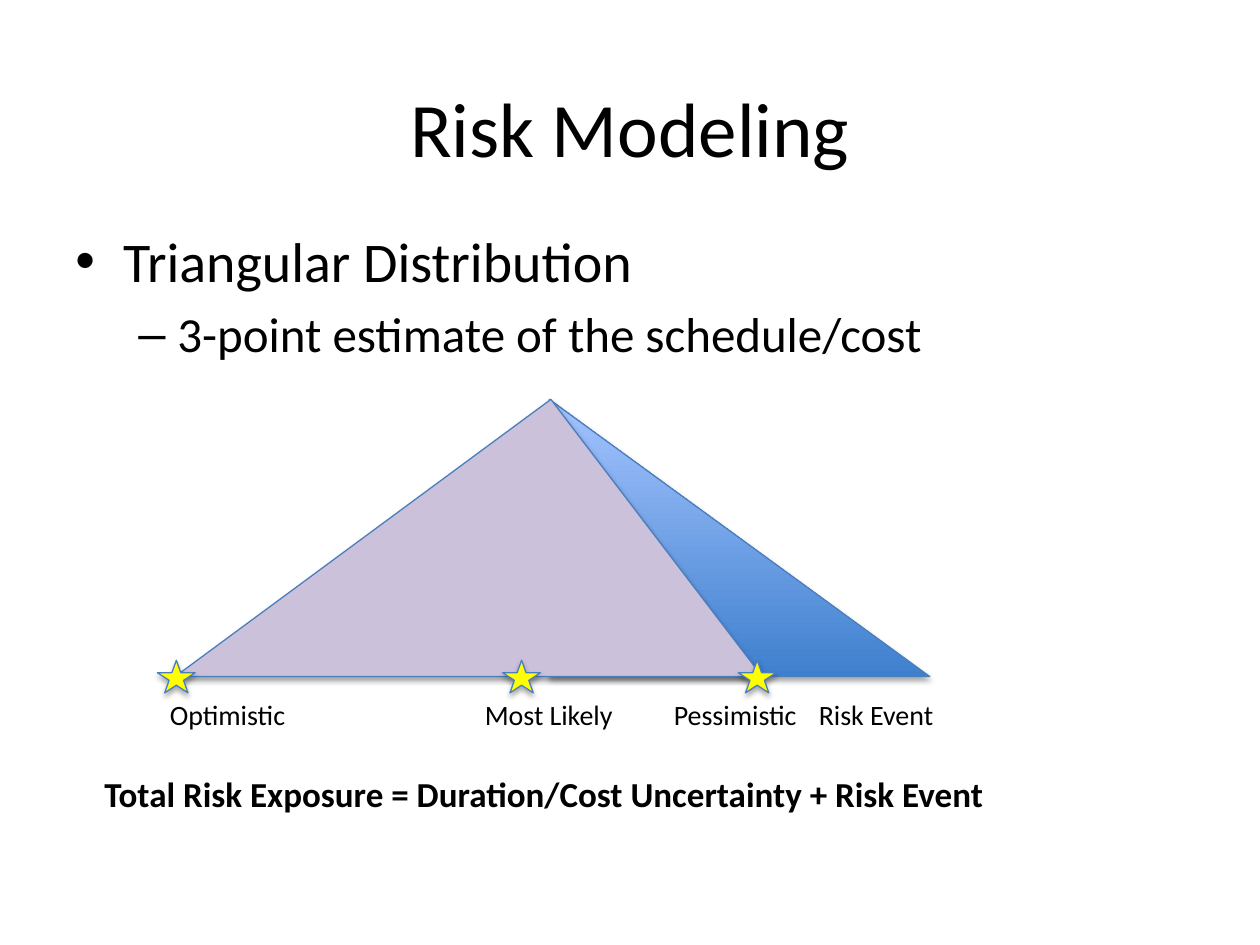
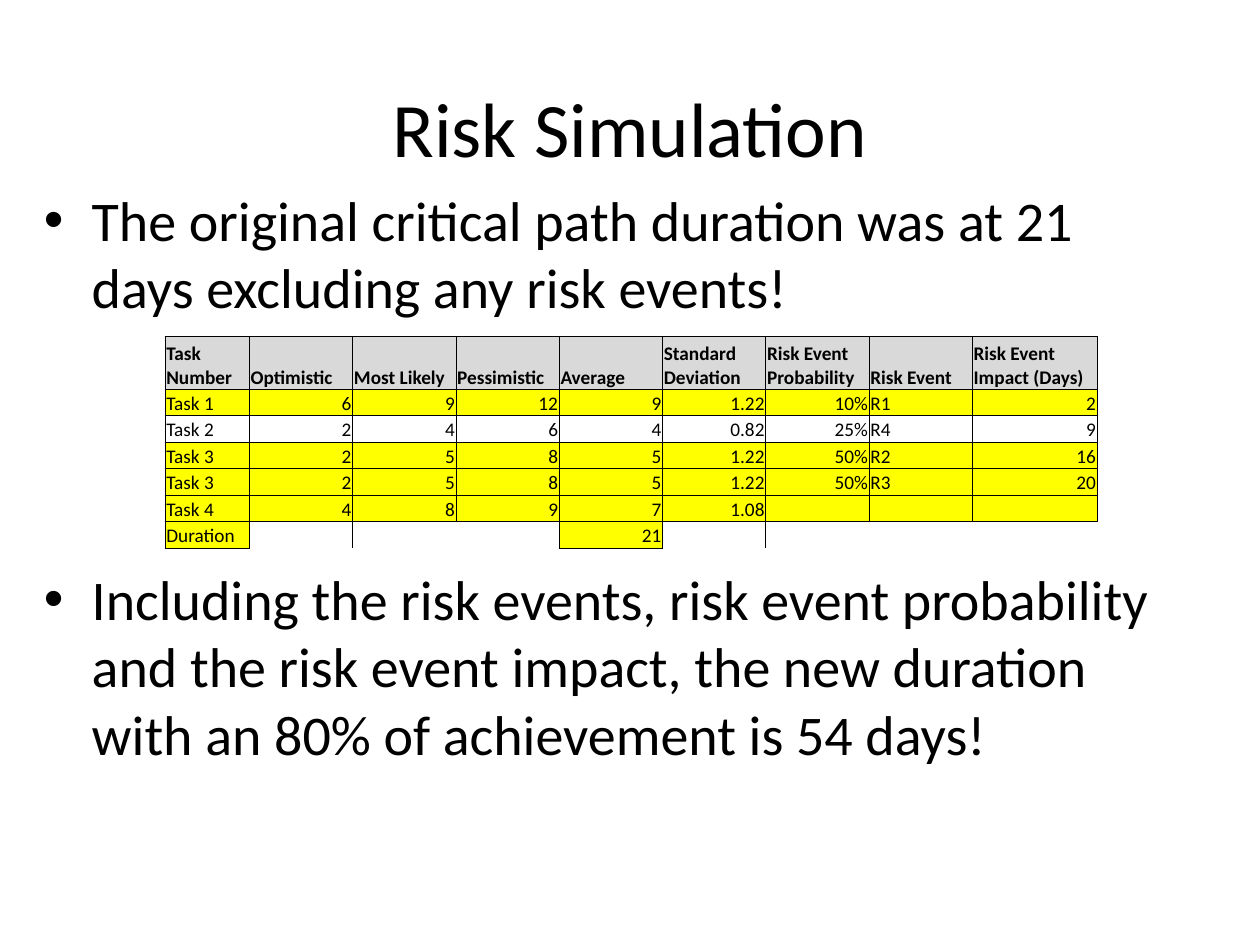
from lxml import etree
from pptx import Presentation
from pptx.dml.color import RGBColor
from pptx.enum.shapes import MSO_SHAPE
from pptx.enum.text import MSO_ANCHOR, PP_ALIGN
from pptx.oxml.ns import qn
from pptx.util import Emu, Inches, Pt

TRIANGLE, STAR = MSO_SHAPE.ISOSCELES_TRIANGLE, MSO_SHAPE.STAR_5_POINT
MIDDLE, BOTTOM = MSO_ANCHOR.MIDDLE, MSO_ANCHOR.BOTTOM
LEFT, CENTER, RIGHT = PP_ALIGN.LEFT, PP_ALIGN.CENTER, PP_ALIGN.RIGHT

FONT = "Calibri"
BLACK, GRAY, YELLOW = "000000", "D9D9D9", "FFFF00"
OUTLINE, LILAC = "4B7EBC", "CCC1DA"
BLUE_GRADIENT = ("3F80CE", "A4C4FF")
TITLE_ONLY = 5
NO_TABLE_STYLE = "{2D5ABB26-0587-4C30-8999-92F81FD0307C}"

# per level: bullet, size, left margin, hanging indent
BULLETS = [("•", 32, 0.38, 0.38), ("–", 28, 0.81, 0.31)]

TASK_HEADER = ["Task Number", "Optimistic", "Most Likely", "Pessimistic", "Average",
               "Standard Deviation", "Risk Event Probability", "Risk Event",
               "Risk Event Impact (Days)"]
TASK_ROWS = [
    ["Task 1", "6", "9", "12", "9", "1.22", "10%", "R1", "2"],
    ["Task 2", "2", "4", "6", "4", "0.82", "25%", "R4", "9"],
    ["Task 3", "2", "5", "8", "5", "1.22", "50%", "R2", "16"],
    ["Task 3", "2", "5", "8", "5", "1.22", "50%", "R3", "20"],
    ["Task 4", "4", "8", "9", "7", "1.08", "", "", ""],
    ["Duration", "", "", "", "21", "", "", "", ""],
]
OFF_CRITICAL_PATH = "Task 2"
TEXT_COLUMNS = (0, 7)


def rgb(color):
    return RGBColor.from_string(color)


def add_xml(parent, tag, **attrs):
    return etree.SubElement(parent, qn(tag), **{k: str(v) for k, v in attrs.items()})


class Deck:
    def __init__(self):
        self.prs = Presentation()
        self.prs.slide_width, self.prs.slide_height = Inches(10), Inches(7.5)
        self.s = None

    def slide(self, title):
        self.s = self.prs.slides.add_slide(self.prs.slide_layouts[TITLE_ONLY])
        sp = self.s.shapes.title
        sp.left, sp.top, sp.width, sp.height = map(Inches, (0.5, 0.38, 9, 1.25))
        sp.text_frame.vertical_anchor = MIDDLE
        p = sp.text_frame.paragraphs[0]
        p.alignment = CENTER
        self.run(p, title, 44)

    def run(self, p, text, size, bold=False):
        r = p.add_run()
        r.text = text
        r.font.name, r.font.size, r.font.bold = FONT, Pt(size), bold
        r.font.color.rgb = rgb(BLACK)

    def text_frame(self, x, y, w, h):
        tf = self.s.shapes.add_textbox(*map(Inches, (x, y, w, h))).text_frame
        tf.word_wrap = True
        return tf

    def label(self, text, x, y, w, h, size, bold=False, tabs=()):
        p = self.text_frame(x, y, w, h).paragraphs[0]
        if tabs:
            stops = add_xml(p._p.get_or_add_pPr(), "a:tabLst")
            for pos in tabs:
                add_xml(stops, "a:tab", pos=Inches(pos), algn="l")
        self.run(p, text, size, bold)

    def bullets(self, x, y, items):
        """Add a body text; items are (text, level, points of space before)."""
        tf = self.text_frame(x, y, 9, 4.95)
        for i, (text, level, before) in enumerate(items):
            char, size, margin, hanging = BULLETS[level]
            p = tf.add_paragraph() if i else tf.paragraphs[0]
            p.level, p.space_before = level, Pt(before)
            pPr = p._p.get_or_add_pPr()
            pPr.set("marL", str(Inches(margin)))
            pPr.set("indent", str(-Inches(hanging)))
            add_xml(pPr, "a:buFont", typeface="Arial")
            add_xml(pPr, "a:buChar", char=char)
            self.run(p, text, size)

    def shape(self, kind, x, y, w, h, fill, peak=None):
        """Add an outlined shape with a soft shadow; a pair of colours gives a gradient."""
        sp = self.s.shapes.add_shape(kind, *map(Inches, (x, y, w, h)))
        if peak is not None:
            sp.adjustments[0] = peak
        if isinstance(fill, str):
            sp.fill.solid()
            sp.fill.fore_color.rgb = rgb(fill)
        else:
            sp.fill.gradient()
            sp.fill.gradient_angle = 90
            for stop, color in zip(sp.fill.gradient_stops, fill):
                stop.color.rgb = rgb(color)
        sp.line.color.rgb = rgb(OUTLINE)
        sp.line.width = Pt(0.75)
        sp.shadow.inherit = False
        effects = sp._element.spPr.find(qn("a:effectLst"))
        shadow = add_xml(effects, "a:outerShdw", blurRad=Pt(3.1), dist=Pt(1.8),
                         dir=5400000, rotWithShape=0)
        add_xml(add_xml(shadow, "a:srgbClr", val=BLACK), "a:alpha", val=35000)

    def cell(self, cell, text, align, fill, bold, sides):
        cell.margin_left = cell.margin_right = cell.margin_top = Inches(0.01)
        cell.margin_bottom = Emu(0)
        cell.vertical_anchor = BOTTOM
        tcPr = cell._tc.get_or_add_tcPr()
        for side in sides:
            ln = add_xml(tcPr, f"a:ln{side}", w=Pt(0.5))
            add_xml(add_xml(ln, "a:solidFill"), "a:srgbClr", val=BLACK)
        if fill:
            cell.fill.solid()
            cell.fill.fore_color.rgb = rgb(fill)
        else:
            cell.fill.background()
        p = cell.text_frame.paragraphs[0]
        p.alignment = align
        if text:
            self.run(p, text, 11, bold)
        else:
            add_xml(p._p, "a:endParaRPr", sz=1100)

    def task_table(self, x, y, widths, heights):
        rows = [TASK_HEADER] + TASK_ROWS
        last = len(rows) - 1
        size = Inches(sum(widths)), Inches(sum(heights))
        table = self.s.shapes.add_table(len(rows), len(widths), Inches(x), Inches(y), *size).table
        table.first_row = table.horz_banding = False
        table._tbl.tblPr.find(qn("a:tableStyleId")).text = NO_TABLE_STYLE
        for column, width in zip(table.columns, widths):
            column.width = Inches(width)
        for row, height in zip(table.rows, heights):
            row.height = Inches(height)
        for i, values in enumerate(rows):
            # the total row is boxed only where it has a value
            boxed = [i < last or bool(v) for v in values]
            for j, text in enumerate(values):
                sides = "LRTB" if boxed[j] else "T"
                if not boxed[j]:
                    right = "R" if any(boxed[j + 1:j + 2]) else ""
                    sides = ("L" if boxed[j - 1] else "") + right + sides
                fill = YELLOW if boxed[j] and values[0] != OFF_CRITICAL_PATH else None
                align = LEFT if i == 0 or j in TEXT_COLUMNS else RIGHT
                self.cell(table.cell(i, j), text, align, GRAY if i == 0 else fill, i == 0, sides)


def main():
    deck = Deck()

    deck.slide("Risk Modeling")
    deck.bullets(0.5, 1.75, [("Triangular Distribution", 0, 6.4),
                             ("3-point estimate of the schedule/cost", 1, 5.6)])
    deck.shape(TRIANGLE, 4.36, 3.17, 3.02, 2.2, BLUE_GRADIENT, peak=0)
    deck.shape(TRIANGLE, 1.39, 3.17, 4.66, 2.2, LILAC, peak=0.64)
    deck.label("Optimistic\tMost Likely\tPessimistic\tRisk Event",
               1.25, 5.49, 6.77, 0.37, 16, tabs=(2.5, 4, 5.15))
    for x in (1.25, 3.99, 5.86):
        deck.shape(STAR, x, 5.24, 0.3, 0.26, YELLOW)
    deck.label("Total Risk Exposure = Duration/Cost Uncertainty + Risk Event",
               0.73, 6.08, 7.24, 0.44, 20, bold=True)

    deck.slide("Risk Simulation")
    deck.bullets(0.25, 1.42, [
        ("The original critical path duration was at 21 days excluding any risk events!", 0, 6.4),
        ("Including the risk events, risk event probability and the risk event impact, "
         "the new duration with an 80% of achievement is 54 days!", 0, 140)])
    deck.task_table(1.31, 2.67, [0.67] + [0.82] * 7 + [0.99], [0.42] + [0.21] * 6)

    deck.prs.save("out.pptx")


if __name__ == "__main__":
    main()
